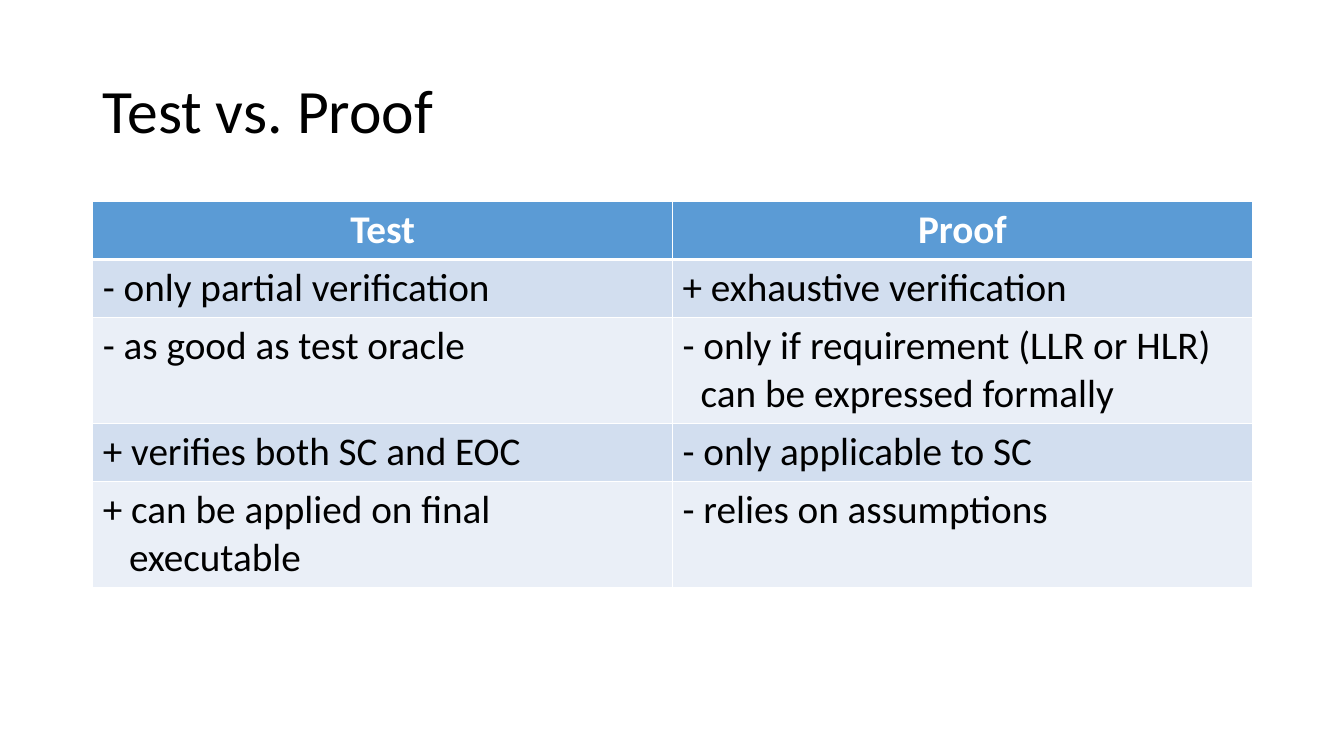
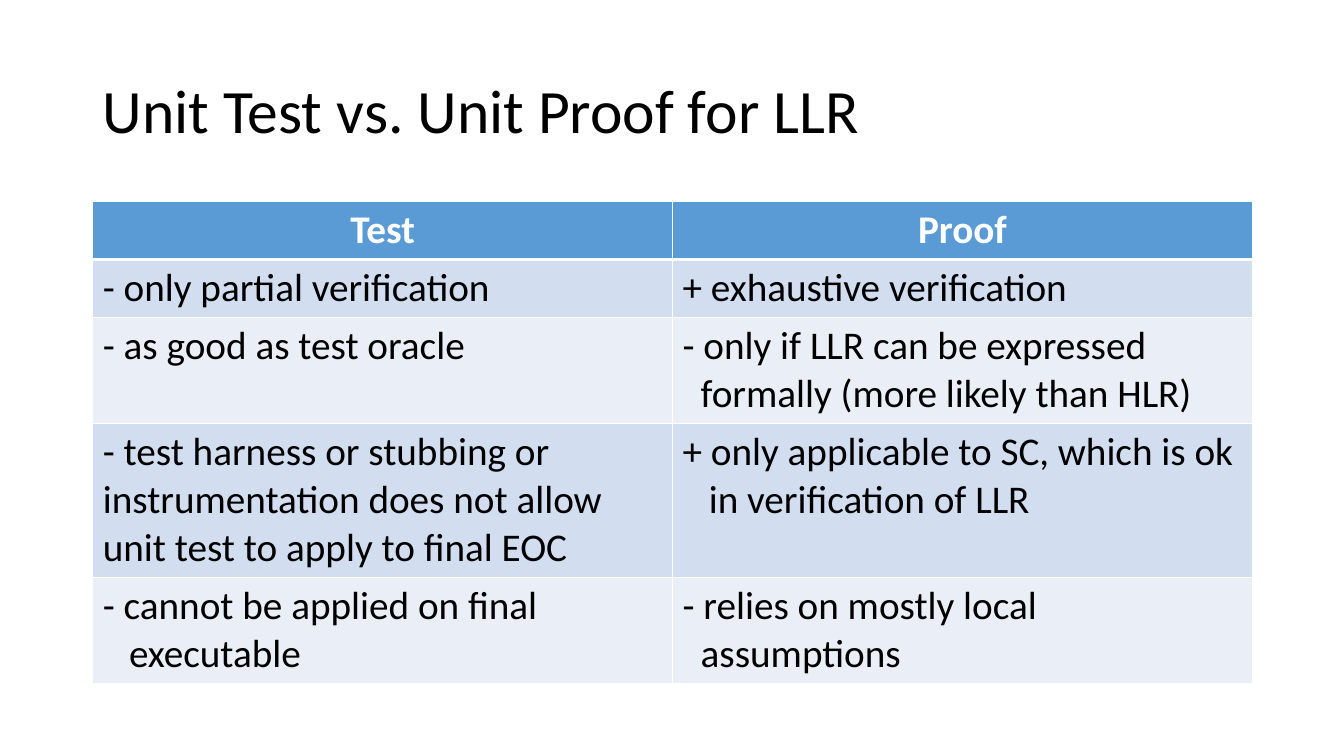
"""Build two slides comparing test and proof in tables."""
from dataclasses import dataclass

import lxml.etree
import pptx
import pptx.dml.color
import pptx.enum.text
import pptx.oxml.ns
import pptx.util

Inches = pptx.util.Inches
Pt = pptx.util.Pt


@dataclass(frozen=True)
class Theme:
    """Colours, type sizes, lines and indents shared by the slides."""
    font: str = "Calibri"
    ink: str = "000000"
    paper: str = "FFFFFF"
    header: str = "5B9BD5"
    bands: tuple = ("D2DEEF", "EAEFF7")
    title_size: int = 44
    cell_size: int = 28
    rule: int = 1
    header_rule: int = 3
    short_indent: float = 0.18
    long_indent: float = 0.26


THEME = Theme()
LEFT, WIDTH = 0.92, 11.5
TITLE_TOP, TITLE_HEIGHT = 0.4, 1.45
TABLE_TOP = 2
LINE_HEIGHT, CELL_PADDING = 0.47, 0.1
SHORT, LONG = THEME.short_indent, THEME.long_indent

HEADINGS = ("Test", "Proof")

# Each row is (lines of height, test cell, proof cell); a cell is (text, indent) paragraphs.
COMPARISONS = [
    ("Test vs. Proof", [
        (1, [("- only partial verification", 0)],
            [("+ exhaustive verification", 0)]),
        (2, [("- as good as test oracle", 0)],
            [("- only if requirement (LLR or HLR)", 0),
             ("can be expressed formally", SHORT)]),
        (1, [("+ verifies both SC and EOC", 0)],
            [("- only applicable to SC", 0)]),
        (2, [("+ can be applied on final", 0), ("executable", LONG)],
            [("- relies on assumptions", 0)]),
    ]),
    ("Unit Test vs. Unit Proof for LLR", [
        (1, [("- only partial verification", 0)],
            [("+ exhaustive verification", 0)]),
        (2, [("- as good as test oracle", 0)],
            [("- only if LLR can be expressed", 0),
             ("formally (more likely than HLR)", SHORT)]),
        (3, [("- test harness or stubbing or instrumentation does not allow "
              "unit test to apply to final EOC", 0)],
            [("+ only applicable to SC, which is ok", 0),
             ("in verification of LLR", LONG)]),
        (2, [("- cannot be applied on final", 0), ("executable", LONG)],
            [("- relies on mostly local", 0), ("assumptions", SHORT)]),
    ]),
]


def rgb(value):
    """Return a colour object for a hex value."""
    return pptx.dml.color.RGBColor.from_string(value)


def add_run(paragraph, text, size, color, bold=False):
    """Add one formatted run to a paragraph."""
    run = paragraph.add_run()
    run.text = text
    run.font.name = THEME.font
    run.font.size = Pt(size)
    run.font.bold = bold
    run.font.color.rgb = rgb(color)


def set_borders(cell, top, bottom):
    """Draw the four borders of a cell in the paper colour."""
    qn = pptx.oxml.ns.qn
    properties = cell._tc.get_or_add_tcPr()
    sides = (("L", THEME.rule), ("R", THEME.rule), ("T", top), ("B", bottom))
    for position, (side, width) in enumerate(sides):
        line = lxml.etree.Element(qn(f"a:ln{side}"), w=str(Pt(width)))
        fill = lxml.etree.SubElement(line, qn("a:solidFill"))
        lxml.etree.SubElement(fill, qn("a:srgbClr"), val=THEME.paper)
        properties.insert(position, line)


def fill_cell(cell, paragraphs, row_index):
    """Write and format a cell according to its row."""
    is_header = row_index == 0
    cell.fill.solid()
    cell.fill.fore_color.rgb = rgb(
        THEME.header if is_header else THEME.bands[(row_index - 1) % 2])
    set_borders(cell,
                THEME.header_rule if row_index == 1 else THEME.rule,
                THEME.header_rule if is_header else THEME.rule)
    align = pptx.enum.text.PP_ALIGN
    for index, (text, indent) in enumerate(paragraphs):
        frame = cell.text_frame
        paragraph = frame.add_paragraph() if index else frame.paragraphs[0]
        paragraph.alignment = align.CENTER if is_header else align.LEFT
        if indent:
            paragraph._p.get_or_add_pPr().set("marL", str(Inches(indent)))
        add_run(paragraph, text, THEME.cell_size,
                THEME.paper if is_header else THEME.ink, is_header)


def add_title(slide, text):
    """Place and format the title placeholder."""
    title = slide.shapes.title
    title.left, title.top = Inches(LEFT), Inches(TITLE_TOP)
    title.width, title.height = Inches(WIDTH), Inches(TITLE_HEIGHT)
    frame = title.text_frame
    frame.word_wrap = True
    frame.auto_size = pptx.enum.text.MSO_AUTO_SIZE.NONE
    frame.vertical_anchor = pptx.enum.text.MSO_ANCHOR.MIDDLE
    paragraph = frame.paragraphs[0]
    paragraph.alignment = pptx.enum.text.PP_ALIGN.LEFT
    paragraph.line_spacing = 0.9
    add_run(paragraph, text, THEME.title_size, THEME.ink)


def add_comparison(slide, arguments):
    """Add the table of arguments below its headings."""
    rows = [(1, *([(heading, 0)] for heading in HEADINGS)), *arguments]
    heights = [CELL_PADDING + LINE_HEIGHT * lines for lines, *_ in rows]
    table = slide.shapes.add_table(
        len(rows), len(HEADINGS), Inches(LEFT), Inches(TABLE_TOP),
        Inches(WIDTH), Inches(sum(heights))).table
    for row_index, (_, *cells) in enumerate(rows):
        table.rows[row_index].height = Inches(heights[row_index])
        for column_index, paragraphs in enumerate(cells):
            fill_cell(table.cell(row_index, column_index), paragraphs, row_index)


def main():
    """Build and save the presentation."""
    deck = pptx.Presentation()
    deck.slide_width, deck.slide_height = Inches(13.33), Inches(7.5)
    for title, arguments in COMPARISONS:
        slide = deck.slides.add_slide(deck.slide_layouts[5])
        add_title(slide, title)
        add_comparison(slide, arguments)
    deck.save("out.pptx")


if __name__ == "__main__":
    main()
